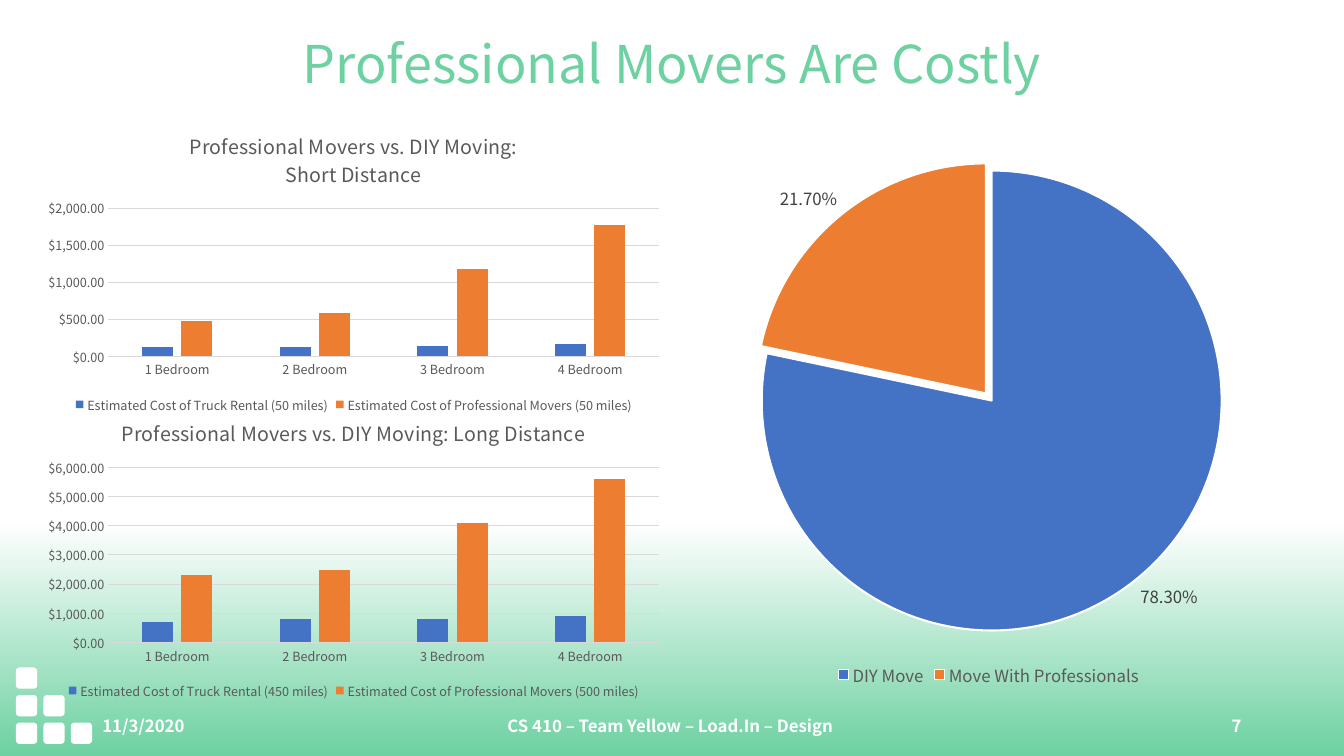
from lxml import etree
from pptx import Presentation
from pptx.chart.data import CategoryChartData as Data
from pptx.dml.color import RGBColor as RGB
from pptx.enum.chart import XL_CHART_TYPE as Kind
from pptx.enum.chart import XL_LABEL_POSITION as Spot
from pptx.enum.chart import XL_LEGEND_POSITION as Side
from pptx.enum.chart import XL_TICK_MARK as Tick
from pptx.enum.shapes import MSO_SHAPE as Form
from pptx.enum.text import MSO_ANCHOR as Anchor
from pptx.enum.text import MSO_AUTO_SIZE as Fit
from pptx.enum.text import PP_ALIGN as Align
from pptx.oxml.ns import qn
from pptx.util import Pt

FACE = "Noto Sans CJK KR"
COLORS = {
    "white": "FFFFFF", "green": "6DD1A1", "gray": "595959", "dark": "404040",
    "grid": "D9D9D9", "blue": "4472C4", "orange": "ED7D31", "black": "000000",
}
PAIR = ("blue", "orange")
ROOMS = [f"{n} Bedroom" for n in range(1, 5)]


def hue(name):
    return RGB.from_string(COLORS[name])


def style(font, size, color, bold=False, face=FACE):
    font.name, font.size, font.bold = face, Pt(size), bold
    font.color.rgb = hue(color)


def write(frame, text, size, color, bold=False, align=Align.LEFT, gap=None):
    """Fills an empty frame, one paragraph for each line of the text."""
    for i, line in enumerate(text.split("\n")):
        para = frame.add_paragraph() if i else frame.paragraphs[0]
        run = para.add_run()
        run.text = line
        style(run.font, size, color, bold)
        para.alignment = align
        if gap:
            para.line_spacing = gap


class Page:
    """Holds the slide and draws each kind of element on it, in points."""

    def __init__(self, deck):
        self.slide = deck.slides.add_slide(deck.slide_layouts[5])
        self.shapes = self.slide.shapes

    def back(self):
        fill = self.slide.background.fill
        fill.gradient()
        fill.gradient_angle = 270
        for stop, at, name in zip(fill.gradient_stops, (0.69, 1), ("white", "green")):
            stop.position = at
            stop.color.rgb = hue(name)

    def block(self, x, y, side):
        box = self.shapes.add_shape(Form.ROUNDED_RECTANGLE, *map(Pt, (x, y, side, side)))
        box.shadow.inherit = False
        box.fill.solid()
        box.fill.fore_color.rgb = hue("white")
        box.line.fill.background()

    def title(self, text, x, y, w, h):
        box = self.shapes.title
        box.left, box.top, box.width, box.height = map(Pt, (x, y, w, h))
        self.frame(box)
        write(box.text_frame, text, 37.2, "green", align=Align.CENTER, gap=0.7)

    def label(self, text, x, w, align):
        box = self.shapes.add_textbox(*map(Pt, (x, 496.8, w, 43.2)))
        self.frame(box)
        write(box.text_frame, text, 12, "white", bold=True, align=align)

    def frame(self, box):
        frame = box.text_frame
        frame.word_wrap, frame.auto_size = True, Fit.NONE
        frame.vertical_anchor = Anchor.MIDDLE

    def chart(self, kind, cats, series, spot, size):
        data = Data()
        data.categories = cats
        for name, vals in series:
            data.add_series(name, vals)
        chart = self.shapes.add_chart(kind, *map(Pt, spot), data).chart
        style(chart.font, 10, "black", face="Arial")
        chart.has_title = False
        chart.has_legend = True
        chart.legend.position = Side.BOTTOM
        chart.legend.include_in_layout = False
        style(chart.legend.font, size, "gray")
        return chart

    def bars(self, title, series, y, top):
        spot = (25.5, y, 454.3, 216)
        chart = self.chart(Kind.COLUMN_CLUSTERED, ROOMS, series, spot, 9)
        chart.has_title = True
        write(chart.chart_title.text_frame, title, 14, "gray", align=Align.CENTER)
        plot = chart.plots[0]
        plot.gap_width, plot.overlap = 219, -27
        plot.vary_by_categories = False
        for ser, name in zip(plot.series, PAIR):
            ser.format.fill.solid()
            ser.format.fill.fore_color.rgb = hue(name)
        cat, val = chart.category_axis, chart.value_axis
        for axis in (cat, val):
            axis.major_tick_mark = axis.minor_tick_mark = Tick.NONE
            style(axis.tick_labels.font, 9, "gray")
        val.minimum_scale, val.maximum_scale = 0, top
        val.tick_labels.number_format = "\\$#,##0.00"
        val.tick_labels.number_format_is_linked = False
        val.format.line.fill.background()
        val.has_major_gridlines = True
        for line in (cat.format.line, val.major_gridlines.format.line):
            line.width = Pt(0.75)
            line.color.rgb = hue("grid")

    def pie(self, cats, vals, spot):
        chart = self.chart(Kind.PIE, cats, [("Series 1", vals)], spot, 12)
        plot = chart.plots[0]
        plot.vary_by_categories = True
        ser = plot.series[0]
        ser.format.line.color.rgb = hue("white")
        burst = etree.Element(qn("c:explosion"), val="2")
        ser._element.find(qn("c:spPr")).addnext(burst)
        for i, name in enumerate(PAIR):
            part = ser.points[i].format
            part.fill.solid()
            part.fill.fore_color.rgb = hue(name)
            part.line.width = Pt(1.5)
            part.line.color.rgb = hue("white")
        tags = ser.data_labels
        tags.show_value, tags.show_percentage = False, True
        tags.number_format, tags.number_format_is_linked = "0.00%", False
        tags.position = Spot.OUTSIDE_END
        style(tags.font, 12, "dark")


def main():
    deck = Presentation()
    deck.slide_width, deck.slide_height = Pt(960), Pt(540)
    page = Page(deck)
    page.back()
    for row in range(3):
        for col in range(row + 1):
            page.block(11.4 + 19.6 * col, 476.8 + 19.7 * row, 15.2)
    page.title("Professional Movers Are Costly", 66, 28.8, 828, 42.5)
    page.label("11/3/2020", 66, 216, Align.LEFT)
    page.label("CS 410 – Team Yellow – Load.In – Design", 316.8, 324, Align.CENTER)
    page.label("7", 678, 216, Align.RIGHT)
    page.bars("Professional Movers vs. DIY Moving:\nShort Distance", [
        ("Estimated Cost of Truck Rental (50 miles)", (130, 130, 140, 160)),
        ("Estimated Cost of Professional Movers (50 miles)", (480, 580, 1180, 1770)),
    ], 82.1, 2000)
    page.bars("Professional Movers vs. DIY Moving: Long Distance", [
        ("Estimated Cost of Truck Rental (450 miles)", (700, 800, 800, 900)),
        ("Estimated Cost of Professional Movers (500 miles)", (2300, 2500, 4100, 5600)),
    ], 286.5, 6000)
    page.pie(["DIY Move", "Move With Professionals"], (78.3, 21.7),
             (502.2, 102.2, 408.2, 391.7))
    deck.save("out.pptx")


if __name__ == "__main__":
    main()
